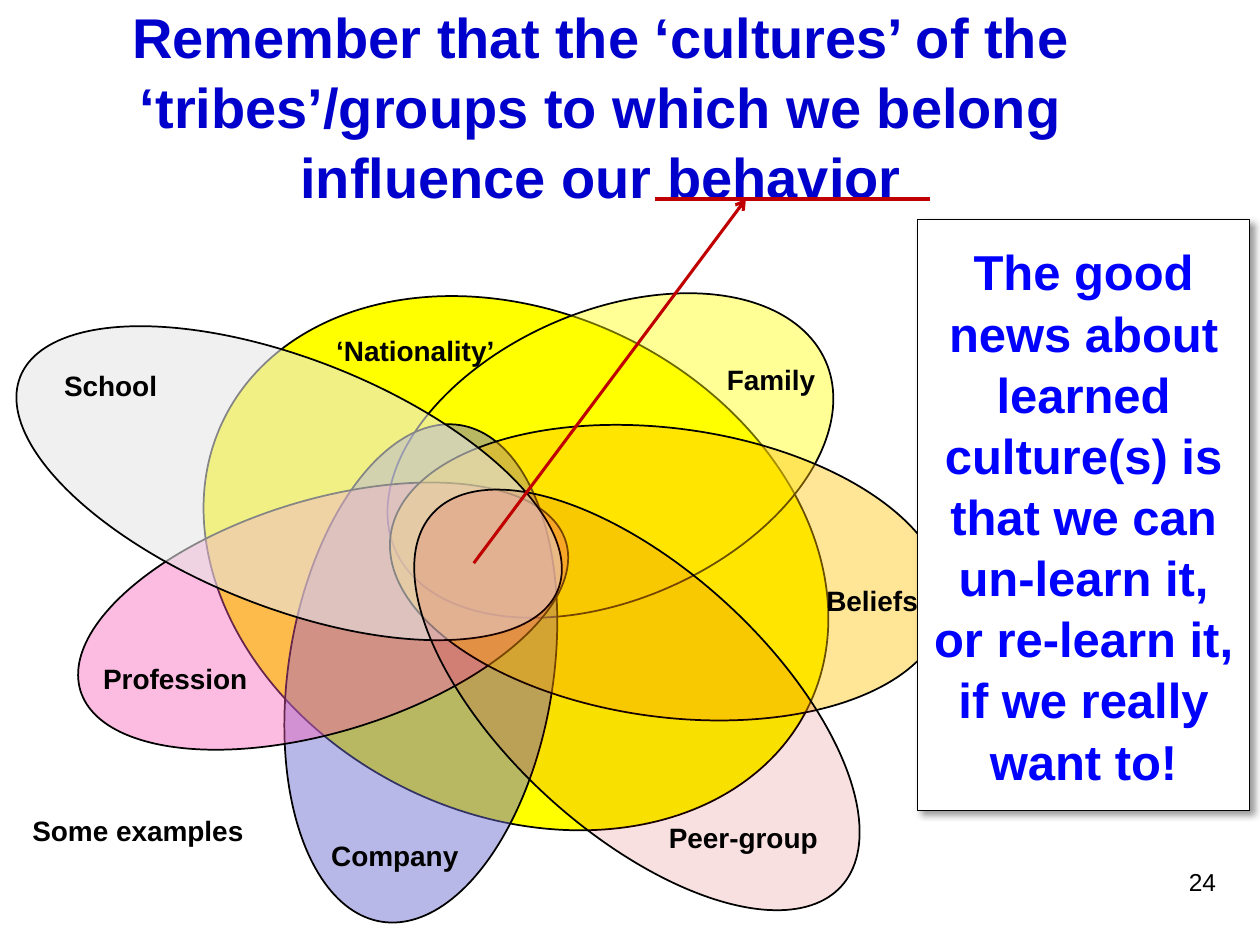
from lxml import etree
from pptx import Presentation
from pptx.dml.color import RGBColor
from pptx.enum.shapes import MSO_CONNECTOR, MSO_SHAPE
from pptx.enum.text import MSO_ANCHOR, MSO_AUTO_SIZE, PP_ALIGN
from pptx.oxml.ns import qn
from pptx.util import Pt

PX = 9144
LEFT, MID, RIGHT = PP_ALIGN.LEFT, PP_ALIGN.CENTER, PP_ALIGN.RIGHT
OVAL, RECT = MSO_SHAPE.OVAL, MSO_SHAPE.RECTANGLE
LINE = MSO_CONNECTOR.STRAIGHT
BLACK = RGBColor(0, 0, 0)
WHITE = RGBColor(255, 255, 255)
NAVY = RGBColor(0, 0, 0xCC)
BLUE = RGBColor(0, 0, 0xFF)
RED = RGBColor(0xC0, 0, 0)
YELLOW = RGBColor(255, 255, 0)
INDIGO = RGBColor(0x6B, 0x6B, 0xCF)
PINK = RGBColor(0xF9, 0x5A, 0xB7)
AMBER = RGBColor(255, 0xC0, 0)
GREY = RGBColor(0xE6, 0xE6, 0xE6)
ROSE = RGBColor(0xCC, 0, 0)

PETALS = [
    ("‘Nationality’", (151, 248, 517, 398), 26.3, YELLOW, 100, (106, 12, 148)),
    ("Family", (298, 247, 373, 229), 336.4, YELLOW, 41, (269, 36, 91)),
    ("Company", (229, 335, 210, 399), 9, INDIGO, 48, (24, 326, 122)),
    ("Profession", (55, 397, 403, 184), 342.9, PINK, 41, (17, 123, 136)),
    ("Beliefs", (308, 340, 444, 229), 7.7, AMBER, 41, (338, 118, 94)),
    ("School", (0, 285, 459, 197), 21.6, GREY, 58, (41, 3, 95)),
    ("Peer-group", (286, 451, 439, 209), 42.4, ROSE, 12, (235, 195, 140)),
]


def emu(box):
    """Turn px lengths into EMU."""
    return [n * PX for n in box]


def write(shape, text, size, color, align=MID, bold=True, wrap=True, gap=None):
    """Put one styled paragraph into a shape."""
    frame = shape.text_frame
    frame.word_wrap = wrap
    frame.auto_size = MSO_AUTO_SIZE.NONE
    frame.text = text
    para = frame.paragraphs[0]
    para.alignment = align
    para.line_spacing = gap
    font = para.font
    font.name, font.size, font.bold = "Arial", Pt(size), bold
    font.color.rgb = color
    return frame


def draw(slide, kind, box, fill, width):
    """Add a filled, black-edged preset shape."""
    shape = slide.shapes.add_shape(kind, *emu(box))
    shape.shadow.inherit = False
    shape.fill.solid()
    shape.fill.fore_color.rgb = fill
    shape.line.color.rgb = BLACK
    shape.line.width = Pt(width)
    return shape


def label(slide, box, text, align=LEFT, size=16, bold=True, wrap=False):
    """Add a black text box."""
    shape = slide.shapes.add_textbox(*emu(box))
    write(shape, text, size, BLACK, align, bold, wrap)
    return shape


def petal(slide, text, box, turn, fill, alpha, spot):
    """Add a tilted ellipse with its label set relative to its box."""
    shape = draw(slide, OVAL, box, fill, 1)
    shape.rotation = turn
    if alpha < 100:
        tint = shape.fill._xPr.find(".//" + qn("a:srgbClr"))
        etree.SubElement(tint, qn("a:alpha"), val=str(alpha * 1000))
    dx, dy, wide = spot
    name = label(slide, (box[0] + dx, box[1] + dy, wide, 37), text)
    if alpha == 100:
        name.fill.solid()
        name.fill.fore_color.rgb = fill


def stroke(slide, ends, width):
    """Add a red line."""
    line = slide.shapes.add_connector(LINE, *emu(ends))
    line.line.color.rgb = RED
    line.line.width = Pt(width)
    etree.SubElement(line._element.spPr, qn("a:effectLst"))
    return line


def pointer(slide, box):
    """Underline the key word and link it to the shared core."""
    x, y, wide, high = box
    stroke(slide, (x + 144, y, x + 144 + wide - 144, y), 2.5)
    link = stroke(slide, (x + 216, y, x, y + high), 1.75)
    etree.SubElement(link.line._get_or_add_ln(), qn("a:headEnd"), type="arrow")


def heading(slide, box):
    """Place and format the title."""
    title = slide.shapes.title
    title.left, title.top, title.width, title.height = emu(box)
    text = ("Remember that the ‘cultures’ of the ‘tribes’/groups "
            "to which we belong influence our behavior")
    write(title, text, 32, NAVY, gap=1.04).vertical_anchor = MSO_ANCHOR.MIDDLE


def news(slide, box):
    """Add the shadowed message panel."""
    panel = draw(slide, RECT, box, WHITE, 0.75)
    effects = panel._element.spPr.find(qn("a:effectLst"))
    shade = etree.SubElement(effects, qn("a:outerShdw"), blurRad=str(Pt(4)),
                             dist=str(Pt(3)), dir="2700000", algn="tl",
                             rotWithShape="0")
    tint = etree.SubElement(shade, qn("a:srgbClr"), val="000000")
    etree.SubElement(tint, qn("a:alpha"), val="40000")
    text = ("The good news about learned culture(s) is that we can "
            "un-learn it, or re-learn it, if we really want to!")
    write(panel, text, 28, BLUE, gap=1.04).vertical_anchor = MSO_ANCHOR.MIDDLE


def main():
    """Build and save the slide."""
    deck = Presentation()
    deck.slide_width, deck.slide_height = emu((1000, 750))
    slide = deck.slides.add_slide(deck.slide_layouts[5])
    heading(slide, (20, 8, 914, 150))
    for item in PETALS:
        petal(slide, *item)
    label(slide, (-2, 641, 223, 37), "Some examples", MID, wrap=True)
    pointer(slide, (376, 158, 362, 289))
    label(slide, (933, 683, 42, 52), "24", RIGHT, 14, False)
    news(slide, (728, 174, 264, 469))
    deck.save("out.pptx")


if __name__ == "__main__":
    main()
